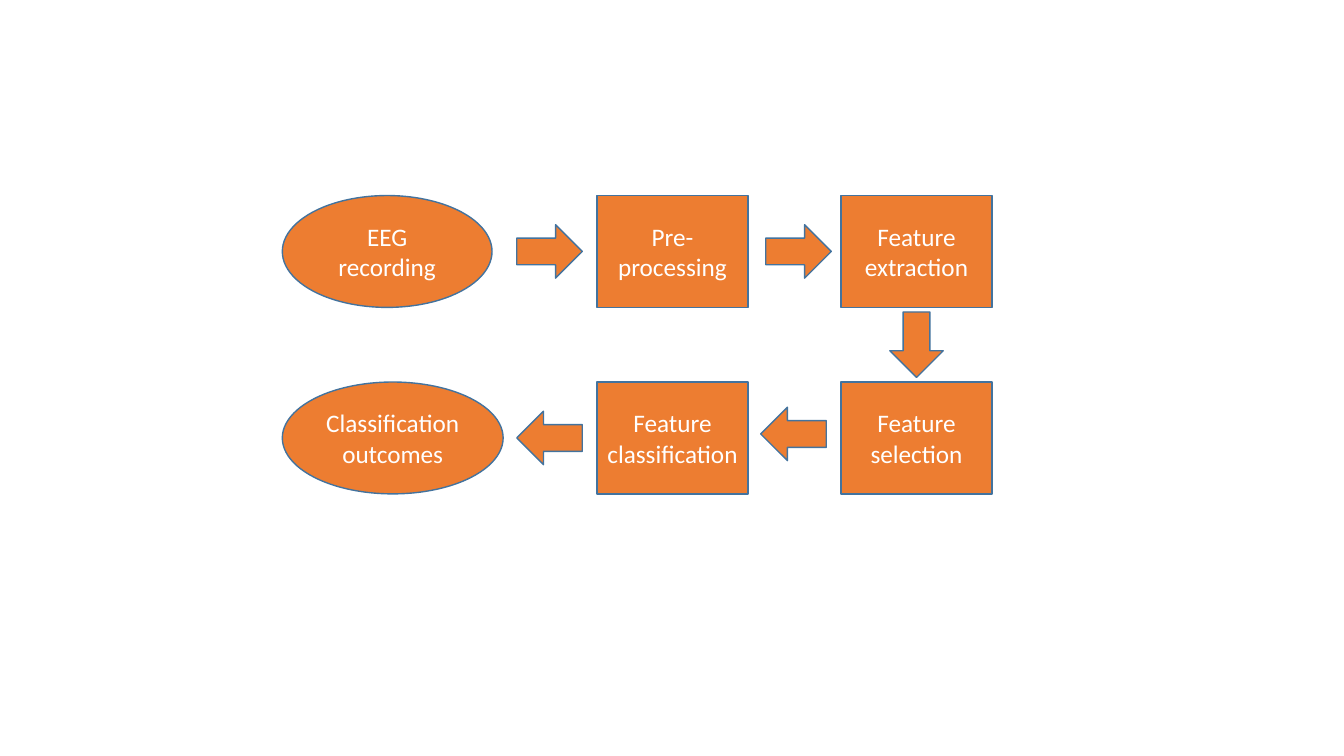
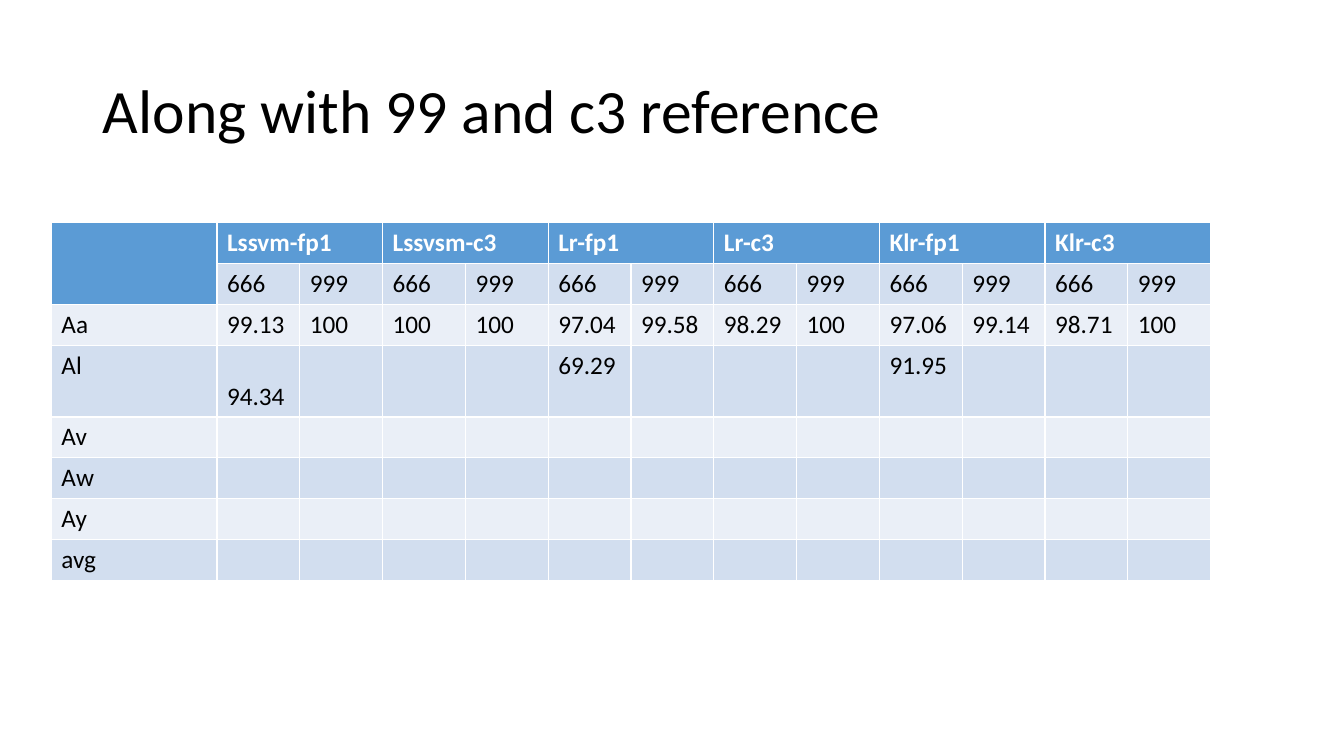
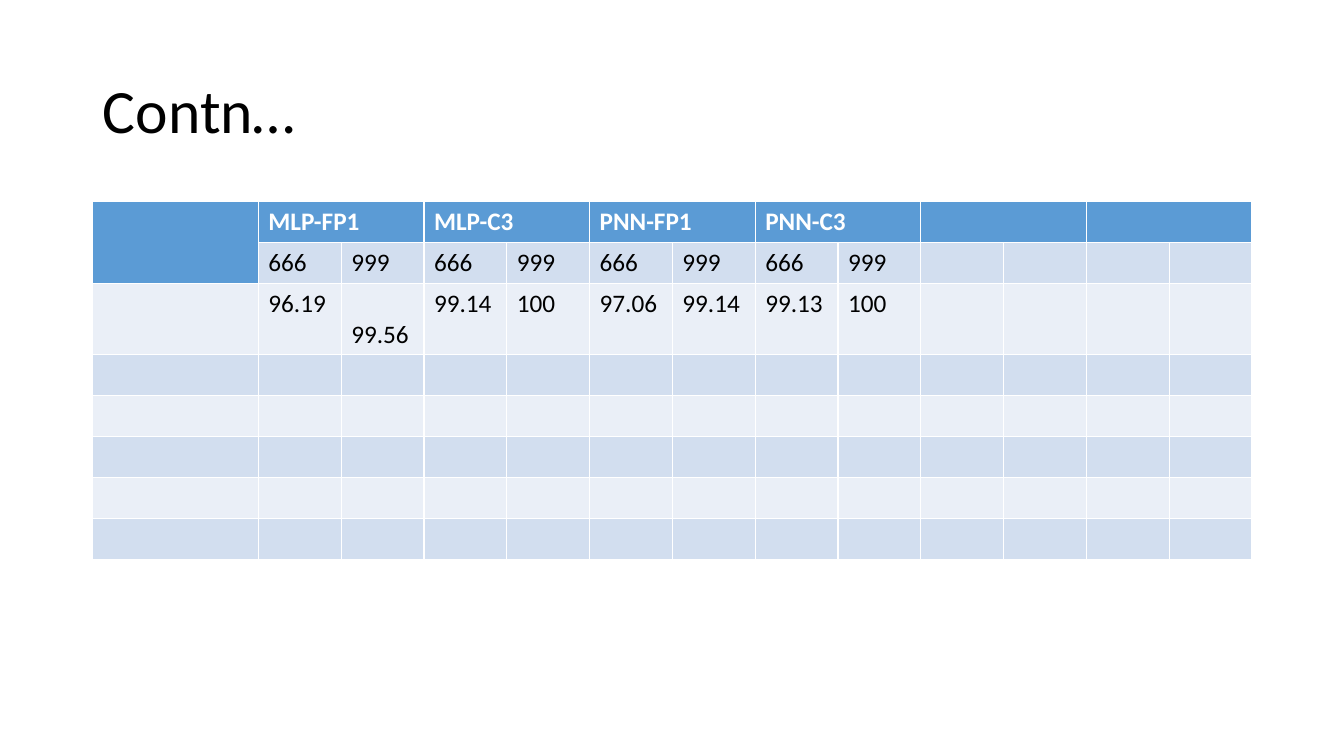
from pptx import Presentation
from pptx.dml.color import RGBColor
from pptx.enum.shapes import MSO_SHAPE
from pptx.enum.text import MSO_ANCHOR, PP_ALIGN
from pptx.util import Inches, Pt

FONT = "Calibri"
WHITE, BLACK = "FFFFFF", "000000"
ORANGE, OUTLINE = "ED7D31", "43739E"
HEADER, BAND_DARK, BAND_LIGHT = "5B9BD5", "D2DEEF", "EAEFF7"

SLIDE_WIDTH, SLIDE_HEIGHT = 13.33, 7.5
CONTENT_LEFT, CONTENT_WIDTH = 0.92, 11.5
TITLE_TOP, TITLE_HEIGHT = 0.4, 1.45

COLUMN_LEFTS = [2.8, 5.92, 8.34]
ROW_TOPS = [1.94, 3.79]
STEP_WIDTH, STEP_HEIGHT = 1.5, 1.11
ARROW_WIDTH, ARROW_HEIGHT = 0.65, 0.53
ROW_CENTERS = [top + STEP_HEIGHT / 2 for top in ROW_TOPS]

STEPS = [
    ("Pre-processing", 1, 0, MSO_SHAPE.RECTANGLE, STEP_WIDTH),
    ("Feature extraction", 2, 0, MSO_SHAPE.RECTANGLE, STEP_WIDTH),
    ("Feature selection", 2, 1, MSO_SHAPE.RECTANGLE, STEP_WIDTH),
    ("Feature classification", 1, 1, MSO_SHAPE.RECTANGLE, STEP_WIDTH),
    ("EEG recording", 0, 0, MSO_SHAPE.OVAL, 2.08),
    ("Classification outcomes", 0, 1, MSO_SHAPE.OVAL, 2.19),
]
ARROWS = [
    (5.45, ROW_CENTERS[0], 0),
    (7.92, ROW_CENTERS[0], 0),
    (5.45, ROW_CENTERS[1], 180),
    (7.87, ROW_CENTERS[1] - 0.04, 180),
    (COLUMN_LEFTS[2] + STEP_WIDTH / 2, sum(ROW_CENTERS) / 2, 90),
]

GROUPS = 6
SUBHEADERS = ["666", "999"]
ROW_COUNT = 8
ROW_HEIGHT, TALL_ROW_HEIGHT = 0.4, 0.71
RESULTS = [
    {
        "title": "Along with 99 and c3 reference",
        "left": 0.51,
        "top": 2.21,
        "groups": ["Lssvm-fp1", "Lssvsm-c3", "Lr-fp1", "Lr-c3", "Klr-fp1", "Klr-c3"],
        "rows": [
            ["Aa", "99.13", "100", "100", "100", "97.04", "99.58",
             "98.29", "100", "97.06", "99.14", "98.71", "100"],
            ["Al", "94.34", "", "", "", "69.29", "", "", "", "91.95"],
            ["Av"], ["Aw"], ["Ay"], ["avg"],
        ],
        "lowered": (3, 1),
    },
    {
        "title": "Contn…",
        "left": CONTENT_LEFT,
        "top": 2,
        "groups": ["MLP-FP1", "MLP-C3", "PNN-FP1", "PNN-C3"],
        "rows": [
            ["", "96.19", "99.56", "99.14", "100", "97.06", "99.14", "99.13", "100"],
        ],
        "lowered": (2, 2),
    },
]


def color(value):
    return RGBColor.from_string(value)


def write(frame, text, size, ink, bold=False):
    paragraph = frame.paragraphs[0]
    run = paragraph.add_run()
    run.text = text
    run.font.name = FONT
    run.font.size = Pt(size)
    run.font.bold = bold
    run.font.color.rgb = color(ink)
    return paragraph


def add_block(slide, kind, left, top, width, height):
    shape = slide.shapes.add_shape(
        kind, Inches(left), Inches(top), Inches(width), Inches(height))
    shape.shadow.inherit = False
    shape.fill.solid()
    shape.fill.fore_color.rgb = color(ORANGE)
    shape.line.color.rgb = color(OUTLINE)
    shape.line.width = Pt(1)
    return shape


def add_title(slide, text):
    title = slide.shapes.title
    title.left, title.top = Inches(CONTENT_LEFT), Inches(TITLE_TOP)
    title.width, title.height = Inches(CONTENT_WIDTH), Inches(TITLE_HEIGHT)
    title.text_frame.vertical_anchor = MSO_ANCHOR.MIDDLE
    paragraph = write(title.text_frame, text, 44, BLACK)
    paragraph.alignment = PP_ALIGN.LEFT
    paragraph.line_spacing = 0.9


def add_results_table(slide, result):
    column_count = 1 + GROUPS * len(SUBHEADERS)
    unit = CONTENT_WIDTH / (column_count + 1)
    table = slide.shapes.add_table(
        ROW_COUNT, column_count, Inches(result["left"]), Inches(result["top"]),
        Inches(CONTENT_WIDTH), Inches(ROW_HEIGHT * (ROW_COUNT - 1) + TALL_ROW_HEIGHT)).table

    for index, column in enumerate(table.columns):
        column.width = Inches(unit * (2 if index == 0 else 1))
    for index, row in enumerate(table.rows):
        tall = index == result["lowered"][0]
        row.height = Inches(TALL_ROW_HEIGHT if tall else ROW_HEIGHT)

    group_row = [""]
    for group in result["groups"]:
        group_row += [group, ""]
    lines = [group_row, [""] + SUBHEADERS * len(result["groups"])] + result["rows"]

    for row in range(ROW_COUNT):
        values = lines[row] if row < len(lines) else []
        for column in range(column_count):
            cell = table.cell(row, column)
            cell.fill.solid()
            band = BAND_DARK if row % 2 else BAND_LIGHT
            cell.fill.fore_color.rgb = color(HEADER if row == 0 else band)
            if column < len(values) and values[column]:
                write(cell.text_frame, values[column], 18,
                      WHITE if row == 0 else BLACK, bold=row == 0)

    table.cell(0, 0).merge(table.cell(1, 0))
    for column in range(1, column_count, len(SUBHEADERS)):
        table.cell(0, column).merge(table.cell(0, column + 1))
    table.cell(*result["lowered"]).vertical_anchor = MSO_ANCHOR.BOTTOM


def add_process_slide(presentation):
    slide = presentation.slides.add_slide(presentation.slide_layouts[6])
    for text, column, row, kind, width in STEPS:
        shape = add_block(slide, kind, COLUMN_LEFTS[column], ROW_TOPS[row],
                          width, STEP_HEIGHT)
        frame = shape.text_frame
        frame.word_wrap = True
        frame.margin_left = frame.margin_right = Inches(0.05)
        frame.vertical_anchor = MSO_ANCHOR.MIDDLE
        write(frame, text, 18, WHITE).alignment = PP_ALIGN.CENTER
    for center_x, center_y, rotation in ARROWS:
        arrow = add_block(slide, MSO_SHAPE.RIGHT_ARROW, center_x - ARROW_WIDTH / 2,
                          center_y - ARROW_HEIGHT / 2, ARROW_WIDTH, ARROW_HEIGHT)
        arrow.rotation = rotation


def main():
    presentation = Presentation()
    presentation.slide_width = Inches(SLIDE_WIDTH)
    presentation.slide_height = Inches(SLIDE_HEIGHT)
    add_process_slide(presentation)
    for result in RESULTS:
        slide = presentation.slides.add_slide(presentation.slide_layouts[5])
        add_title(slide, result["title"])
        add_results_table(slide, result)
    presentation.save("out.pptx")


if __name__ == "__main__":
    main()
